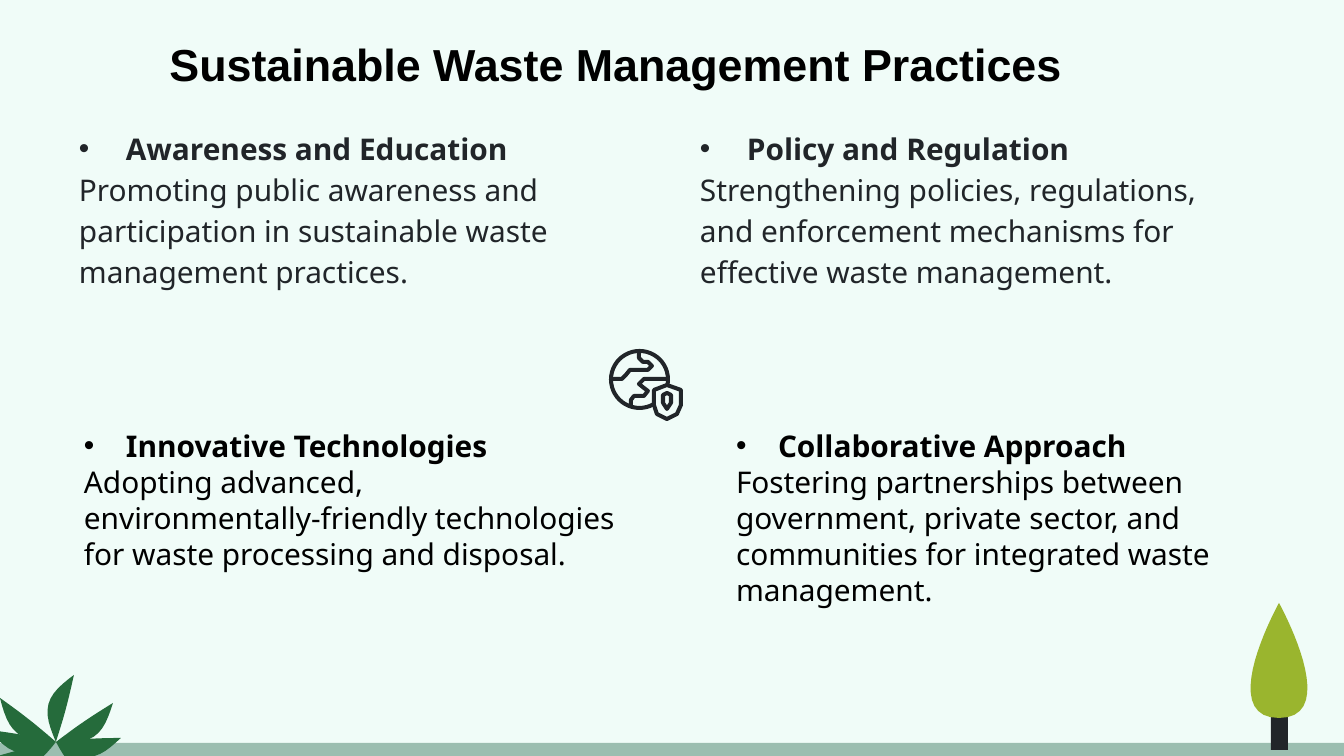
from math import pi, sin

from lxml.etree import SubElement
from pptx import Presentation
from pptx.dml.color import RGBColor
from pptx.enum.shapes import MSO_SHAPE
from pptx.enum.text import MSO_ANCHOR, MSO_AUTO_SIZE, PP_ALIGN
from pptx.oxml.ns import qn
from pptx.util import Pt

PX = 914400 / 134.4
BLACK = RGBColor(0x00, 0x00, 0x00)
INK = RGBColor(0x21, 0x25, 0x29)
MINT = RGBColor(0xF0, 0xFC, 0xF8)
SAGE = RGBColor(0x9B, 0xBE, 0xB0)
GREEN = RGBColor(0x25, 0x6B, 0x3B)
LIME = RGBColor(0x9A, 0xB5, 0x2E)


def scale(*values):
    return [round(value * PX) for value in values]


def paint(shape, fill=None, edge=None):
    shape.shadow.inherit = False
    for part, color in ((shape.fill, fill), (shape.line.fill, edge)):
        if color is None:
            part.background()
        else:
            part.solid()
            part.fore_color.rgb = color
    if edge is not None:
        shape.line.width = scale(4)[0]


deck = Presentation()
deck.slide_width, deck.slide_height = scale(1344, 756)
slide = deck.slides.add_slide(deck.slide_layouts[5])
paper = slide.background.fill
paper.solid()
paper.fore_color.rgb = MINT
shapes = slide.shapes

ground = shapes.add_shape(MSO_SHAPE.RECTANGLE, *scale(-7, 743, 1351, 22))
paint(ground, SAGE)

bush = shapes.add_group_shape()
root_x, root_y = 56, 742
TIPS = [(74, 675), (0, 698), (-12, 759), (-11, 730), (113, 703), (117, 767), (121, 738)]
for tip_x, tip_y in TIPS:
    run, rise = tip_x - root_x, tip_y - root_y
    reach = (run**2 + rise**2) ** 0.5
    side = 1 if run < 0 else -1
    if abs(run) < abs(rise):
        side = 1
    rims = [[], []]
    for n in range(13):
        t = n / 12
        arch = 8 * sin(pi * t)
        for rim, half in zip(rims, (9, -9)):
            shift = side * arch + half * sin(pi * t)
            rim.append(scale(root_x + run * t + rise * shift / reach,
                             root_y + rise * t - run * shift / reach))
    dots = rims[0] + rims[1][::-1]
    pen = bush.shapes.build_freeform(*dots[0], scale=1.0)
    pen.add_line_segments(dots[1:], close=True)
    paint(pen.convert_to_shape(), GREEN)

trunk = shapes.add_shape(MSO_SHAPE.RECTANGLE, *scale(1271, 694, 17, 56))
paint(trunk, INK)

sides = [[], []]
for n in range(21):
    t = n / 20
    bulge = 3 * t**2 * (1 - t)
    for edge, half in zip(sides, (-64, 64)):
        edge.append(scale(1279 + half * bulge, 603 + 115 * (bulge + t**3)))
dots = sides[0] + sides[1][::-1]
pen = shapes.build_freeform(*dots[0], scale=1.0)
pen.add_line_segments(dots[1:], close=True)
paint(pen.convert_to_shape(), LIME)

title = shapes.title
title.left, title.top, title.width, title.height = scale(156, 30, 1040, 67)
title.text_frame.text = "Sustainable Waste Management Practices"
frame = {"word_wrap": True, "auto_size": MSO_AUTO_SIZE.SHAPE_TO_FIT_TEXT,
         "vertical_anchor": MSO_ANCHOR.TOP}
for name, value in frame.items():
    setattr(title.text_frame, name, value)
head = title.text_frame.paragraphs[0]
head.alignment = PP_ALIGN.LEFT
head.line_spacing = 1.0
for name, value in {"name": "Arial", "size": Pt(24), "bold": True}.items():
    setattr(head.runs[0].font, name, value)
head.runs[0].font.color.rgb = BLACK

UPPER = {"color": INK, "space": 1.15, "edge": 13, "margin": 67, "hang": -47, "body": 20,
         "fit": MSO_AUTO_SIZE.NONE}
LOWER = {"color": BLACK, "space": 1.0, "edge": 7, "margin": 42, "hang": -42, "body": 0,
         "fit": MSO_AUTO_SIZE.SHAPE_TO_FIT_TEXT}
BLOCKS = [
    (UPPER, (667, 112, 599, 277), "Policy and Regulation",
     ["Strengthening policies, regulations, and enforcement mechanisms for effective waste management."]),
    (UPPER, (46, 112, 633, 277), "Awareness and Education",
     ["Promoting public awareness and participation in sustainable waste management practices."]),
    (LOWER, (723, 421, 542, 231), "Collaborative Approach",
     ["Fostering partnerships between government, private sector, and communities for integrated waste management."]),
    (LOWER, (71, 421, 570, 231), "Innovative Technologies",
     ["Adopting advanced,", "environmentally-friendly technologies for waste processing and disposal."]),
]
for style, place, topic, lines in BLOCKS:
    text = shapes.add_textbox(*scale(*place)).text_frame
    side, edge = scale(13, style["edge"])
    frame = {"word_wrap": True, "auto_size": style["fit"], "margin_left": side,
             "margin_right": side, "margin_top": edge, "margin_bottom": edge}
    for name, value in frame.items():
        setattr(text, name, value)
    text.text = "\n".join([topic, *lines])
    for rank, para in enumerate(text.paragraphs):
        para.line_spacing = style["space"]
        font = para.runs[0].font
        look = {"name": "Noto Sans", "size": Pt(16), "bold": rank == 0}
        for name, value in look.items():
            setattr(font, name, value)
        font.color.rgb = style["color"]
        props = para._p.get_or_add_pPr()
        left, hang = scale(style["body"], 0) if rank else scale(style["margin"], style["hang"])
        props.set("marL", str(left))
        props.set("indent", str(hang))
        if rank == 0:
            tint = SubElement(props, qn("a:buClr"))
            SubElement(tint, qn("a:srgbClr"), val=str(style["color"]))
            SubElement(props, qn("a:buFont"), typeface="Arial")
            SubElement(props, qn("a:buChar"), char="•")

icon = shapes.add_group_shape()
globe = icon.shapes.add_shape(MSO_SHAPE.OVAL, *scale(611, 351, 57, 57))
paint(globe, edge=INK)
NORTH = [(639, 352), (639, 358), (643, 362), (648, 362), (652, 366), (648, 370),
         (630, 370), (626, 375), (622, 379), (612, 379)]
SOUTH = [(667, 379), (644, 379), (639, 384), (644, 388), (648, 391), (644, 396),
         (634, 396), (631, 400), (631, 406)]
SHIELD = [(667, 385), (681, 390), (681, 405), (677, 414), (667, 419), (657, 414),
          (654, 405), (654, 390)]
BADGE = [(667, 393), (671, 395), (671, 403), (667, 409), (663, 403), (663, 395)]
for line, close, fill in ((NORTH, False, None), (SOUTH, False, None),
                          (SHIELD, True, MINT), (BADGE, True, None)):
    dots = [scale(*dot) for dot in line]
    pen = icon.shapes.build_freeform(*dots[0], scale=1.0)
    pen.add_line_segments(dots[1:], close=close)
    paint(pen.convert_to_shape(), fill, INK)

deck.save("out.pptx")
